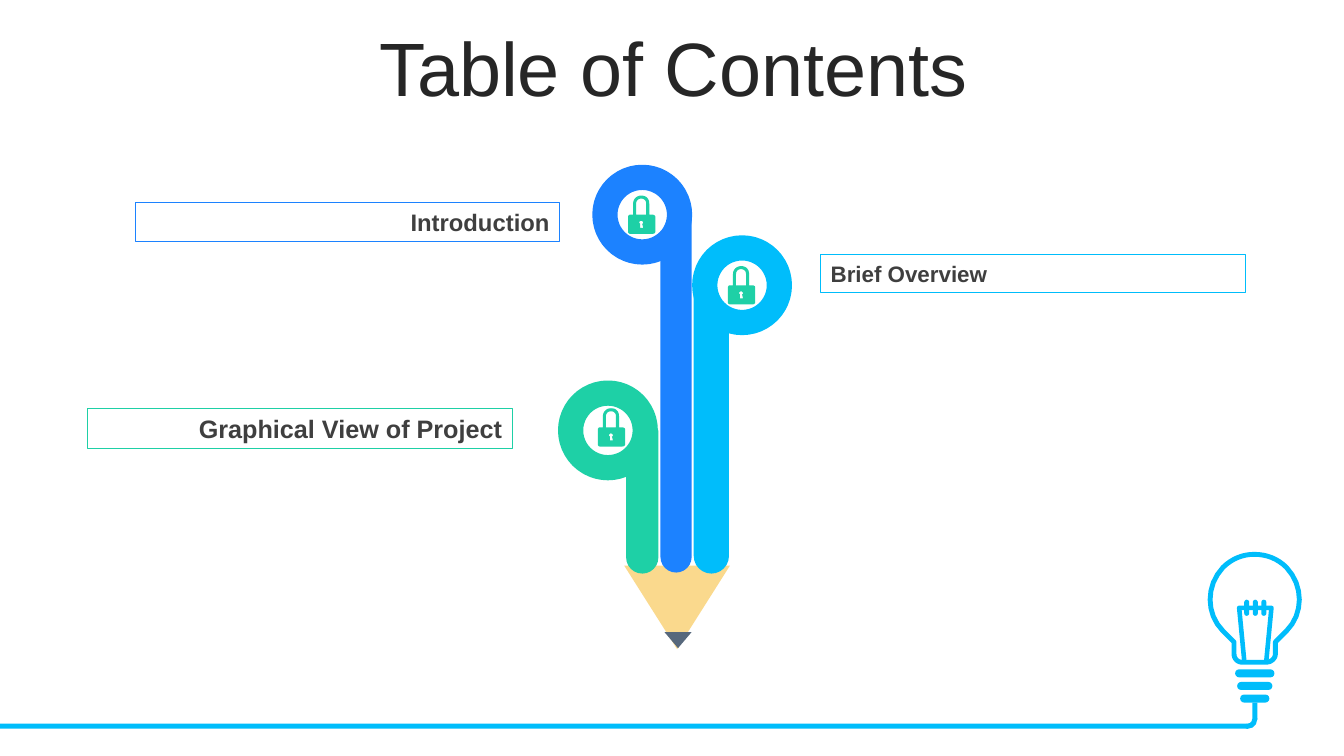
from lxml import etree
from pptx import Presentation
from pptx.dml.color import RGBColor
from pptx.enum.shapes import MSO_SHAPE
from pptx.enum.text import MSO_ANCHOR, MSO_AUTO_SIZE, PP_ALIGN
from pptx.oxml.ns import qn
from pptx.util import Inches, Pt

RECT, OVAL, ROUND = MSO_SHAPE.RECTANGLE, MSO_SHAPE.OVAL, MSO_SHAPE.ROUNDED_RECTANGLE
TUBE, ARC = MSO_SHAPE.ROUND_2_SAME_RECTANGLE, MSO_SHAPE.BLOCK_ARC
WOOD, TIP = MSO_SHAPE.TRAPEZOID, MSO_SHAPE.ISOSCELES_TRIANGLE
MIDDLE, GROW = MSO_ANCHOR.MIDDLE, MSO_AUTO_SIZE.SHAPE_TO_FIT_TEXT
LEFT, CENTER, RIGHT = PP_ALIGN.LEFT, PP_ALIGN.CENTER, PP_ALIGN.RIGHT
COLORS = {
    "white": "FFFFFF", "cyan": "00BDFB", "blue": "1C82FF", "green": "1ED0A6",
    "wood": "F5B317", "lead": "57687C", "title": "262626", "text": "3F3F3F",
}
STEPS = 8  # straight pieces per curve

prs = Presentation()
prs.slide_width, prs.slide_height = Inches(13.33), Inches(7.5)
slide = prs.slides.add_slide(prs.slide_layouts[6])
shapes = slide.shapes


def add(form, box, fill=None, line=None, width=1, adj=(), turn=0):
    """Add a preset shape, or an outline whose points are offset by box.

    An outline is a list of contours; each holds a start point and then
    pieces of one point (straight) or three points (cubic curve).
    """
    if isinstance(form, list):
        left, top = box
        pen = None
        for start, *pieces in form:
            spots, last = [], start
            for piece in pieces:
                if len(piece) == 2:
                    spots.append(piece)
                else:
                    (ax, ay), (bx, by) = last, piece[:2]
                    cx, cy, dx, dy = piece[2:]
                    for i in range(1, STEPS + 1):
                        t = i / STEPS
                        u = 1 - t
                        k = u**3, 3 * u * u * t, 3 * u * t * t, t**3
                        spots.append((
                            k[0] * ax + k[1] * bx + k[2] * cx + k[3] * dx,
                            k[0] * ay + k[1] * by + k[2] * cy + k[3] * dy))
                last = spots[-1]
            x, y = Inches(left + start[0]), Inches(top + start[1])
            if pen is None:
                pen = shapes.build_freeform(x, y)
            else:
                pen.move_to(x, y)
            spots = [(Inches(left + px), Inches(top + py)) for px, py in spots]
            pen.add_line_segments(spots, close=last == start)
        shape = pen.convert_to_shape()
    else:
        shape = shapes.add_shape(form, *map(Inches, box))
    shape.shadow.inherit = False
    shape.rotation = turn
    for i, value in enumerate(adj):
        shape.adjustments[i] = value
    if fill:
        shape.fill.solid()
        shape.fill.fore_color.rgb = RGBColor.from_string(COLORS[fill])
    else:
        shape.fill.background()
    if line:
        shape.line.color.rgb = RGBColor.from_string(COLORS[line])
        shape.line.width = Pt(width)
    else:
        shape.line.fill.background()
    return shape


def write(shape, text, size, color, align, bold=False):
    frame = shape.text_frame
    frame.word_wrap = True
    frame.vertical_anchor = MIDDLE
    para = frame.paragraphs[0]
    para.text = text
    para.alignment = align
    para.font.name, para.font.size, para.font.bold = "Arial", Pt(size), bold
    para.font.color.rgb = RGBColor.from_string(COLORS[color])
    return frame


# Light bulb and its wire
bulb = [[
    (12.44, 5.5), (12.56, 5.5, 12.67, 5.54, 12.76, 5.63),
    (12.93, 5.81, 12.93, 6.09, 12.76, 6.26), (12.65, 6.37), (12.65, 6.49),
    (12.65, 6.53, 12.61, 6.57, 12.56, 6.57), (12.32, 6.57),
    (12.27, 6.57, 12.24, 6.53, 12.24, 6.49), (12.24, 6.37), (12.13, 6.26),
    (11.96, 6.09, 11.96, 5.81, 12.13, 5.63),
    (12.22, 5.54, 12.33, 5.5, 12.44, 5.5),
]]
add(bulb, (0, 0), "white", "cyan", 3.5)
for row, wide in enumerate((0.39, 0.35, 0.29)):
    add(ROUND, (12.445 - wide / 2, 6.64 + row * 0.125, wide, 0.08), "cyan", adj=[0.5])
wires = [[(12.34, 6.55), (12.29, 6.03), (12.61, 6.03), (12.56, 6.55)]]
add(wires, (0, 0), None, "cyan", 3.25)
for col in range(3):
    add(ROUND, (12.34 + col * 0.085, 5.95, 0.05, 0.16), "cyan", adj=[0.5])
add(RECT, (0, 7.18, 12.37, 0.05), "cyan")
add(RECT, (12.42, 6.97, 0.05, 0.17), "cyan")
add(ARC, (12.28, 7.04, 0.19, 0.19), "cyan", adj=[213.394, 60.915, 0.271])

# Title
title = shapes.add_textbox(*map(Inches, (0.35, 0.37, 12.66, 0.79)))
frame = write(title, "Table of Contents", 54, "title", CENTER)
frame.paragraphs[0].line_spacing = 0.7

# Pencil point
wood = add(WOOD, (6.19, 5.61, 1.05, 0.83), "wood", adj=[0.789], turn=180)
tint = wood.fill._xPr.find(qn("a:solidFill"))[0]
etree.SubElement(tint, qn("a:alpha")).set("val", "49000")
add(TIP, (6.59, 6.27, 0.27, 0.16), "lead", turn=180)

# Pencil tubes, each with a ring, a lock and a label
lock = [
    [(0.13, 0.25), (0.12, 0.25, 0.11, 0.26, 0.11, 0.27),
     (0.11, 0.27, 0.12, 0.28, 0.12, 0.28), (0.12, 0.32), (0.15, 0.32),
     (0.14, 0.28), (0.15, 0.28, 0.15, 0.27, 0.15, 0.27),
     (0.15, 0.26, 0.14, 0.25, 0.13, 0.25)],
    [(0.13, 0.03), (0.1, 0.03, 0.08, 0.05, 0.08, 0.08), (0.08, 0.19),
     (0.18, 0.19), (0.18, 0.08), (0.18, 0.05, 0.16, 0.03, 0.13, 0.03)],
    [(0.13, 0), (0.18, 0, 0.21, 0.03, 0.21, 0.08), (0.21, 0.19), (0.24, 0.19),
     (0.26, 0.19, 0.27, 0.2, 0.27, 0.21), (0.27, 0.36),
     (0.27, 0.37, 0.26, 0.38, 0.24, 0.38), (0.02, 0.38),
     (0.01, 0.38, 0, 0.37, 0, 0.36), (0, 0.21),
     (0, 0.2, 0.01, 0.19, 0.02, 0.19), (0.05, 0.19), (0.05, 0.08),
     (0.05, 0.03, 0.09, 0, 0.13, 0)],
]
topics = [
    ("Graphical View of Project", 18, RIGHT, "green", (0.87, 4.05, 4.21, 0.4),
     (6.21, 4.27, 0.32, 1.42), (5.66, 3.9), (5.93, 4.05)),
    ("Introduction", 17, RIGHT, "blue", (1.34, 2.01, 4.21, 0.39),
     (6.55, 2.15, 0.31, 3.53), (6, 1.76), (6.23, 1.94)),
    ("Brief Overview", 16, LEFT, "cyan", (8.14, 2.53, 4.21, 0.37),
     (6.88, 2.87, 0.35, 2.82), (6.99, 2.46), (7.22, 2.64)),
]
for text, size, align, color, box, tube, ring, spot in topics:
    add(TUBE, tube, color, adj=[0.5, 0], turn=180)
    add(OVAL, (*ring, 0.74, 0.74), "white", color, 18)
    add(lock, spot, "green")
    label = add(RECT, box, None, color, 0.75)
    write(label, text, size, "text", align, bold=True).auto_size = GROW

prs.save("out.pptx")
